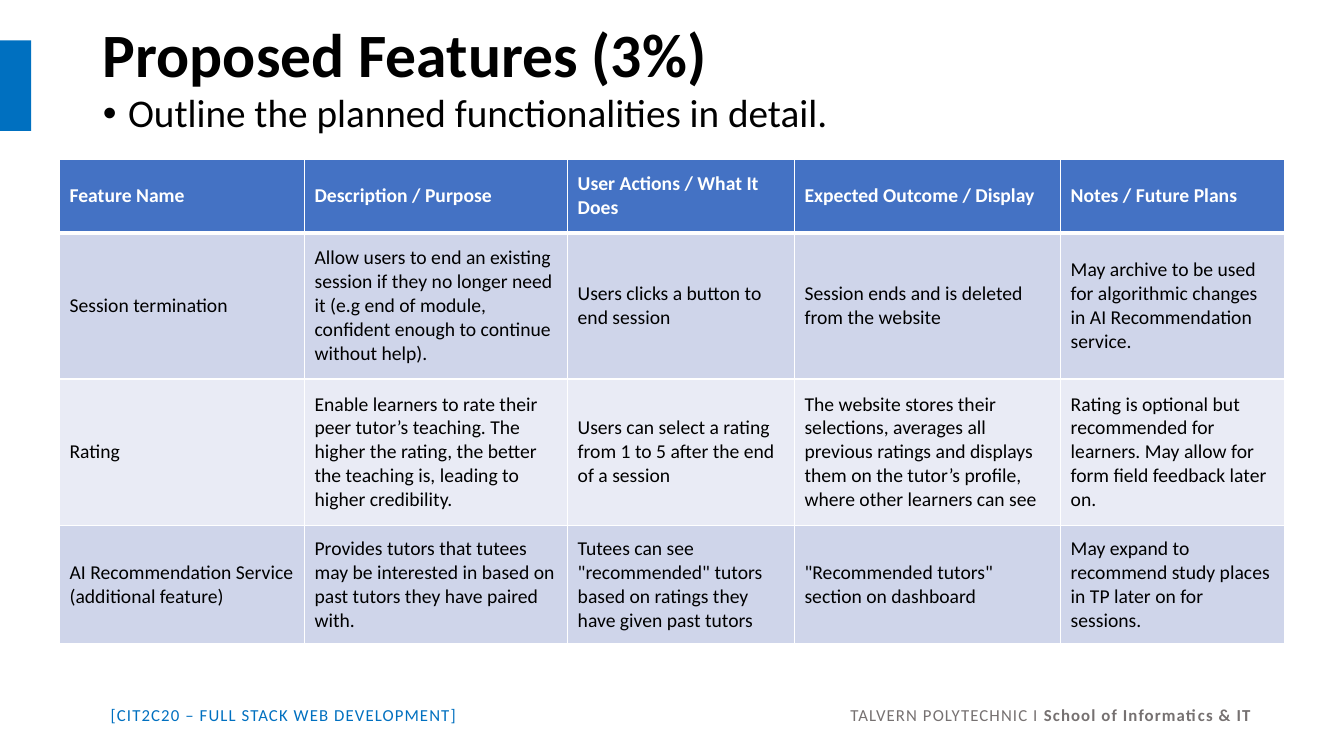
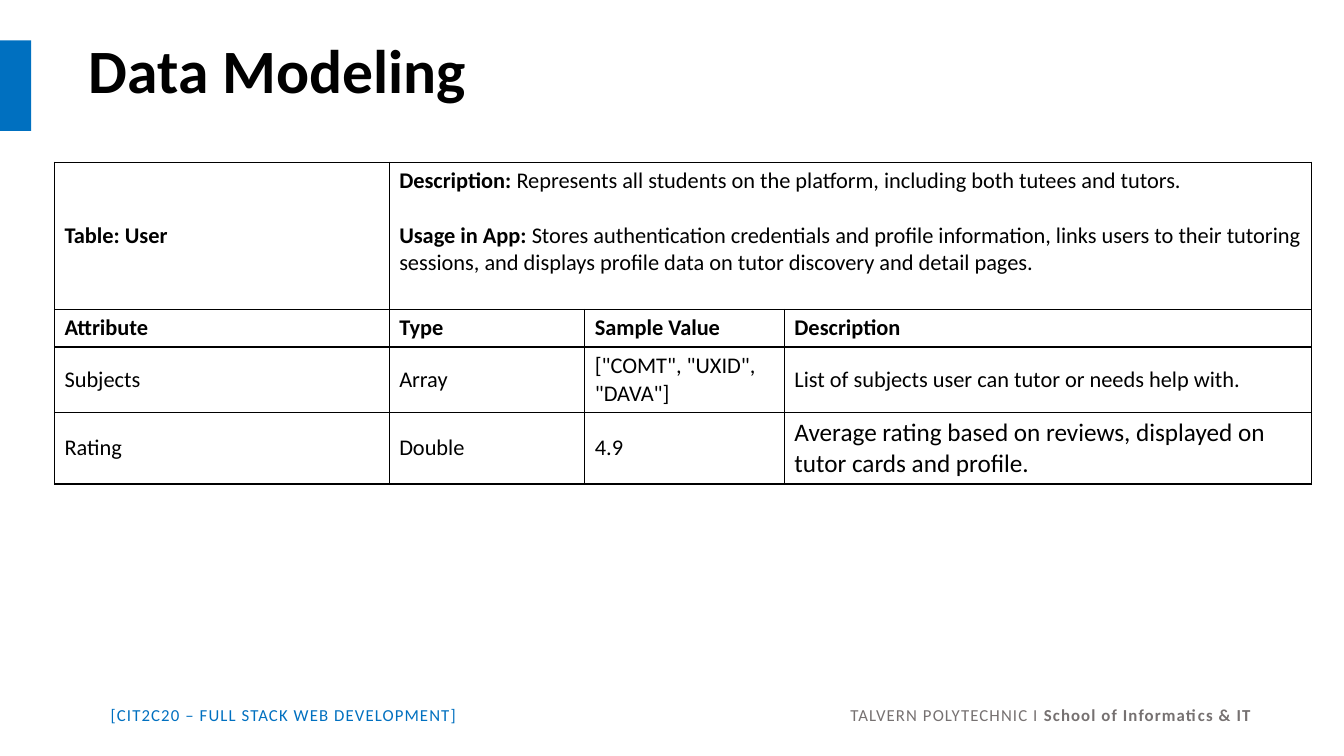
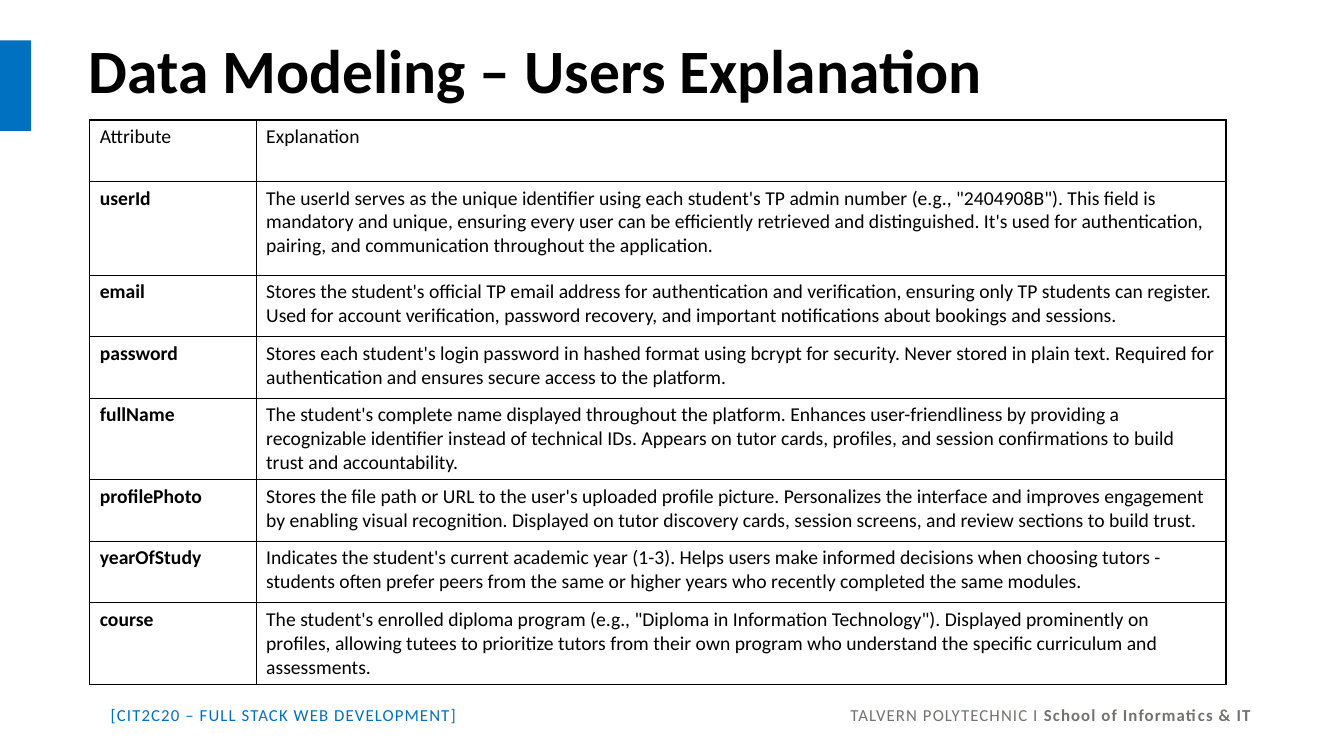
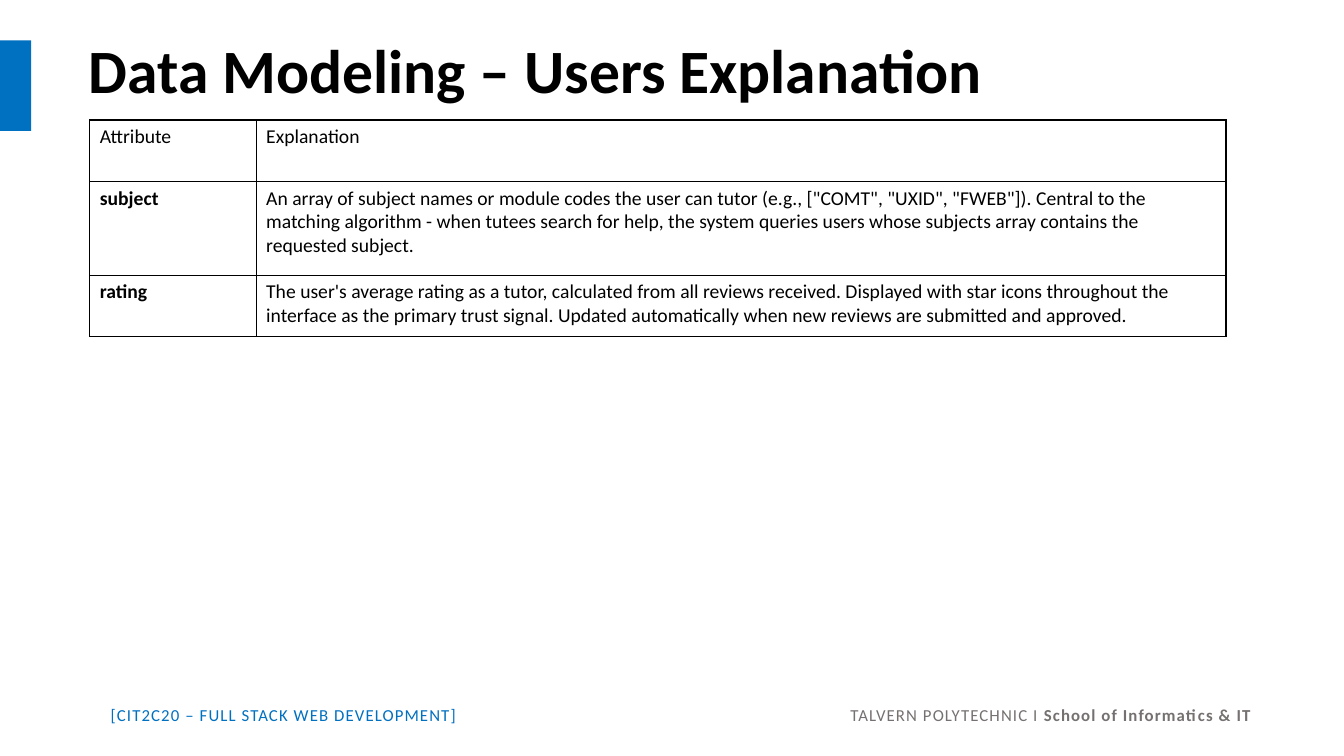
from dataclasses import dataclass
from typing import Callable

from lxml.etree import SubElement
from pptx import Presentation
from pptx.dml.color import RGBColor
from pptx.enum.shapes import MSO_SHAPE
from pptx.enum.text import MSO_ANCHOR, MSO_AUTO_SIZE, PP_ALIGN
from pptx.oxml.ns import qn
from pptx.util import Inches, Pt

FONT = "Calibri"
HEX = {
    "black": "000000", "white": "FFFFFF", "blue": "0070C0", "grey": "767171",
    "head": "4472C4", "dark": "CFD5EA", "light": "E9EBF5",
}
TITLE_ONLY, TITLE_BODY = 5, 1


@dataclass
class Grid:
    """A table: its place, sizes, texts and the rules for its look."""
    left: float
    top: float
    cols: list[float]
    rows: list[float]
    texts: list[list[str]]
    bold: Callable[[int, int], bool]
    size: int = 14
    line: str = "black"
    anchor: MSO_ANCHOR = MSO_ANCHOR.MIDDLE
    fill: Callable[[int], str] = lambda row: "white"
    ink: Callable[[int], str] = lambda row: "black"
    rule: Callable[[int], int] = lambda edge: 1  # width of each row edge


def paint(name: str) -> RGBColor:
    return RGBColor.from_string(HEX[name])


def write(para, text: str, *, size: int = 14, bold: bool = False,
          color: str = "black", track: int = 0) -> None:
    """Add one formatted run to a paragraph."""
    run = para.add_run()
    run.text = text
    font = run.font
    font.name, font.size, font.bold = FONT, Pt(size), bold
    font.color.rgb = paint(color)
    if track:
        run._r.get_or_add_rPr().set("spc", str(track))


def place(shape, left: float, top: float, width: float, height: float) -> None:
    shape.left, shape.top = Inches(left), Inches(top)
    shape.width, shape.height = Inches(width), Inches(height)


# Shared parts, kept on the slide master
def brand(deck, slide) -> None:
    foot = slide.shapes.add_textbox(
        Inches(1), Inches(6.94), Inches(11.63), Inches(0.3))
    foot.text_frame.word_wrap = True
    para = foot.text_frame.paragraphs[0]
    tabs = SubElement(para._p.get_or_add_pPr(), qn("a:tabLst"))
    SubElement(tabs, qn("a:tab"), pos=str(Inches(11.31)), algn="r")
    write(para, "[CIT2C20 – FULL STACK WEB DEVELOPMENT]\t",
          size=12, color="blue", track=80)
    write(para, "TALVERN POLYTECHNIC I ", size=12, color="grey", track=80)
    write(para, "School of Informatics & IT",
          size=12, bold=True, color="grey", track=80)

    band = slide.shapes.add_shape(
        MSO_SHAPE.RECTANGLE, 0, Inches(0.4), Inches(0.31), Inches(0.9))
    band.shadow.inherit = False
    band.fill.solid()
    band.fill.fore_color.rgb = paint("blue")
    band.line.fill.background()

    for num, part in enumerate((foot, band), 20):
        part.element.nvSpPr.cNvPr.set("id", str(num))
        deck.slide_master.shapes.element.append(part.element)


# Title and body placeholders
def fill_in(shape, text: str, align: PP_ALIGN, anchor: MSO_ANCHOR, **look):
    frame = shape.text_frame
    frame.auto_size = MSO_AUTO_SIZE.NONE
    frame.vertical_anchor = anchor
    para = frame.paragraphs[0]
    para.alignment, para.line_spacing = align, 0.9
    write(para, text, **look)
    return para


def start(deck, title: str, left: float = 0.78, top: float = 0,
          kind: int = TITLE_ONLY):
    slide = deck.slides.add_slide(deck.slide_layouts[kind])
    head = slide.shapes.title
    place(head, left, top, 11.5, 1.45)
    fill_in(head, title, PP_ALIGN.LEFT, MSO_ANCHOR.MIDDLE, size=44, bold=True)
    return slide


def bullet(slide, text: str) -> None:
    body = slide.placeholders[1]
    place(body, 0.92, 0.88, 11.5, 0.53)
    para = fill_in(body, text, PP_ALIGN.JUSTIFY, MSO_ANCHOR.TOP, size=28)
    para.space_before = Pt(10)
    props = para._p.get_or_add_pPr()
    props.set("marL", str(Inches(0.25)))
    props.set("indent", str(Inches(-0.25)))


# Tables
def edge(cell, color: str, above: int, below: int) -> None:
    props = cell._tc.get_or_add_tcPr()
    for side, width in (("L", 1), ("R", 1), ("T", above), ("B", below)):
        line = SubElement(props, qn(f"a:ln{side}"), w=str(Pt(width)))
        solid = SubElement(line, qn("a:solidFill"))
        SubElement(solid, qn("a:srgbClr"), val=HEX[color])


def draw(slide, grid: Grid):
    table = slide.shapes.add_table(
        len(grid.rows), len(grid.cols), Inches(grid.left), Inches(grid.top),
        Inches(sum(grid.cols)), Inches(sum(grid.rows))).table
    table.horz_banding = False
    for col, width in zip(table.columns, grid.cols):
        col.width = Inches(width)
    for r, (row, height) in enumerate(zip(table.rows, grid.rows)):
        row.height = Inches(height)
        for c, (cell, text) in enumerate(zip(row.cells, grid.texts[r])):
            edge(cell, grid.line, grid.rule(r), grid.rule(r + 1))
            cell.fill.solid()
            cell.fill.fore_color.rgb = paint(grid.fill(r))
            cell.vertical_anchor = grid.anchor
            if text:
                write(cell.text_frame.paragraphs[0], text, size=grid.size,
                      bold=grid.bold(r, c), color=grid.ink(r))
    return table


def explain(deck, rows: list[float], texts: list[list[str]]) -> None:
    """A slide that lists attributes with their explanations."""
    slide = start(deck, "Data Modeling – Users Explanation")
    draw(slide, Grid(
        0.89, 1.19, [1.65, 9.62], [0.61, 0.93] + rows,
        [["Attribute", "Explanation"]] + texts,
        bold=lambda r, c: r > 0 and c == 0, anchor=MSO_ANCHOR.TOP))


# Slides
def features(deck) -> None:
    slide = start(deck, "Proposed Features (3%)", 0.92, -0.15, TITLE_BODY)
    brand(deck, slide)
    bullet(slide, "Outline the planned functionalities in detail.")
    draw(slide, Grid(
        0.59, 1.58, [2.43, 2.61, 2.25, 2.64, 2.22], [0.73, 1.45, 1.45, 1.18],
        [
            ["Feature Name", "Description / Purpose",
             "User Actions / What It Does", "Expected Outcome / Display",
             "Notes / Future Plans"],
            ["Session termination",
             "Allow users to end an existing session if they no longer need "
             "it (e.g end of module, confident enough to continue without "
             "help).",
             "Users clicks a button to end session",
             "Session ends and is deleted from the website",
             "May archive to be used for algorithmic changes in AI "
             "Recommendation service."],
            ["Rating",
             "Enable learners to rate their peer tutor’s teaching. The higher "
             "the rating, the better the teaching is, leading to higher "
             "credibility.",
             "Users can select a rating from 1 to 5 after the end of a "
             "session",
             "The website stores their selections, averages all previous "
             "ratings and displays them on the tutor’s profile, where other "
             "learners can see",
             "Rating is optional but recommended for learners. May allow for "
             "form field feedback later on."],
            ["AI Recommendation Service (additional feature)",
             "Provides tutors that tutees may be interested in based on past "
             "tutors they have paired with.",
             'Tutees can see "recommended" tutors based on ratings they have '
             "given past tutors",
             '"Recommended tutors" section on dashboard',
             "May expand to recommend study places in TP later on for "
             "sessions."],
        ],
        bold=lambda r, c: r == 0, line="white",
        fill=lambda r: "head" if r == 0 else ("light", "dark")[r % 2],
        ink=lambda r: "white" if r == 0 else "black",
        rule=lambda e: 3 if e == 1 else 1))


def model(deck) -> None:
    slide = start(deck, "Data Modeling")
    table = draw(slide, Grid(
        0.54, 1.61, [3.32, 1.94, 1.98, 5.23], [1.46, 0.37, 0.65, 0.71],
        [
            ["Table: User", "", "", ""],
            ["Attribute", "Type", "Sample Value", "Description"],
            ["Subjects", "Array", '["COMT", "UXID", "DAVA"]',
             "List of subjects user can tutor or needs help with."],
            ["Rating", "Double", "4.9", ""],
        ],
        bold=lambda r, c: r < 2, size=16))

    # Merged summary cell, with one line of room below the text
    about = table.cell(0, 1)
    about.merge(table.cell(0, 3))
    about.margin_bottom = Inches(0.32)
    first = about.text_frame.paragraphs[0]
    write(first, "Description: ", size=16, bold=True)
    write(first, "Represents all students on the platform, including both "
          "tutees and tutors.", size=16)
    usage = about.text_frame.add_paragraph()
    usage.space_before = Pt(19.5)
    write(usage, "Usage in App: ", size=16, bold=True)
    write(usage, "Stores authentication credentials and profile information, "
          "links users to their tutoring sessions, and displays profile data "
          "on tutor discovery and detail pages.", size=16)

    # Larger last cell
    write(table.cell(3, 3).text_frame.paragraphs[0],
          "Average rating based on reviews, displayed on tutor cards and "
          "profile.", size=18)


def users(deck) -> None:
    explain(deck, [0.61, 0.61, 0.81, 0.61, 0.61, 0.81], [
        ["userId",
         "The userId serves as the unique identifier using each student's TP "
         'admin number (e.g., "2404908B"). This field is mandatory and '
         "unique, ensuring every user can be efficiently retrieved and "
         "distinguished. It's used for authentication, pairing, and "
         "communication throughout the application."],
        ["email",
         "Stores the student's official TP email address for authentication "
         "and verification, ensuring only TP students can register. Used for "
         "account verification, password recovery, and important "
         "notifications about bookings and sessions."],
        ["password",
         "Stores each student's login password in hashed format using bcrypt "
         "for security. Never stored in plain text. Required for "
         "authentication and ensures secure access to the platform."],
        ["fullName",
         "The student's complete name displayed throughout the platform. "
         "Enhances user-friendliness by providing a recognizable identifier "
         "instead of technical IDs. Appears on tutor cards, profiles, and "
         "session confirmations to build trust and accountability."],
        ["profilePhoto",
         "Stores the file path or URL to the user's uploaded profile "
         "picture. Personalizes the interface and improves engagement by "
         "enabling visual recognition. Displayed on tutor discovery cards, "
         "session screens, and review sections to build trust."],
        ["yearOfStudy",
         "Indicates the student's current academic year (1-3). Helps users "
         "make informed decisions when choosing tutors - students often "
         "prefer peers from the same or higher years who recently completed "
         "the same modules."],
        ["course",
         "The student's enrolled diploma program (e.g., \"Diploma in "
         'Information Technology"). Displayed prominently on profiles, '
         "allowing tutees to prioritize tutors from their own program who "
         "understand the specific curriculum and assessments."],
    ])


def skills(deck) -> None:
    explain(deck, [0.61], [
        ["subject",
         "An array of subject names or module codes the user can tutor "
         '(e.g., ["COMT", "UXID", "FWEB"]). Central to the matching '
         "algorithm - when tutees search for help, the system queries users "
         "whose subjects array contains the requested subject."],
        ["rating",
         "The user's average rating as a tutor, calculated from all reviews "
         "received. Displayed with star icons throughout the interface as "
         "the primary trust signal. Updated automatically when new reviews "
         "are submitted and approved."],
    ])


def main() -> None:
    deck = Presentation()
    deck.slide_width, deck.slide_height = Inches(13.33), Inches(7.5)
    for build in (features, model, users, skills):
        build(deck)
    deck.save("out.pptx")


if __name__ == "__main__":
    main()
